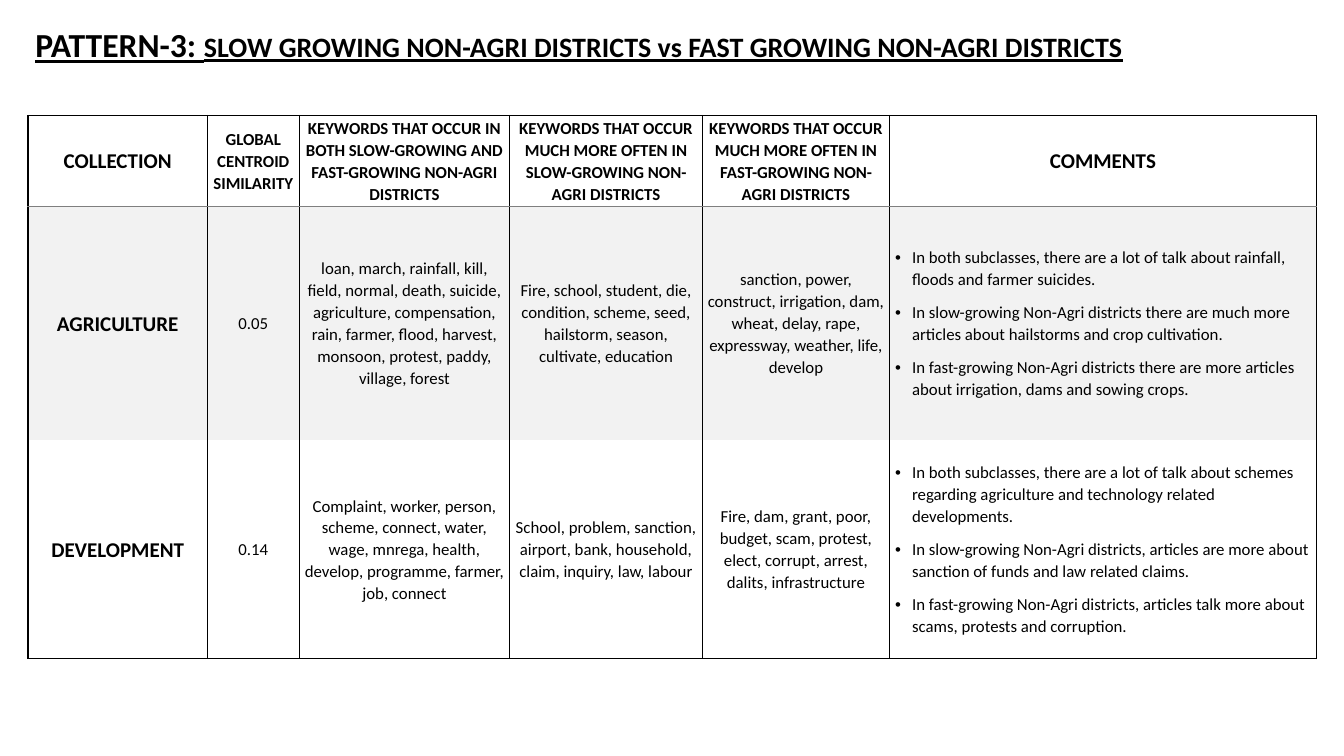
import pptx
import pptx.dml.color
import pptx.enum.text
import pptx.oxml
import pptx.oxml.ns
import pptx.util
import lxml.etree

Pt = pptx.util.Pt
ALIGN = pptx.enum.text.PP_ALIGN
ANCHOR = pptx.enum.text.MSO_ANCHOR

BLACK, GRAY, WHITE, BAND = "000000", "7F7F7F", "FFFFFF", "F2F2F2"
COLUMN_WIDTHS = [128.2, 65.5, 150.5, 137.5, 133.9, 304.6]
ROW_HEIGHTS = [64.8, 167, 156.3]
ROW_FILLS = [WHITE, BAND, WHITE]
# Top and bottom border of each row; None means no line.
ROW_EDGES = [(BLACK, GRAY), (GRAY, None), (None, BLACK)]
SIMILARITY_COLUMN, COMMENTS_COLUMN = 1, 5

ROWS = [
    [
        "COLLECTION",
        "GLOBAL CENTROID SIMILARITY",
        "KEYWORDS THAT OCCUR IN BOTH SLOW-GROWING AND FAST-GROWING NON-AGRI DISTRICTS",
        "KEYWORDS THAT OCCUR MUCH MORE OFTEN IN SLOW-GROWING NON-AGRI DISTRICTS",
        "KEYWORDS THAT OCCUR MUCH MORE OFTEN IN FAST-GROWING NON-AGRI DISTRICTS",
        "COMMENTS",
    ],
    [
        "AGRICULTURE",
        "0.05",
        "loan, march, rainfall, kill, field, normal, death, suicide, agriculture, "
        "compensation, rain, farmer, flood, harvest, monsoon, protest, paddy, village, forest",
        "Fire, school, student, die, condition, scheme, seed, hailstorm, season, "
        "cultivate, education",
        "sanction, power, construct, irrigation, dam, wheat, delay, rape, expressway, "
        "weather, life, develop",
        "In both subclasses, there are a lot of talk about rainfall, floods and farmer suicides.\n"
        "In slow-growing Non-Agri districts there are much more articles about hailstorms "
        "and crop cultivation.\n"
        "In fast-growing Non-Agri districts there are more articles about irrigation, dams "
        "and sowing crops.",
    ],
    [
        "DEVELOPMENT",
        "0.14",
        "Complaint, worker, person, scheme, connect, water, wage, mnrega, health, develop, "
        "programme, farmer, job, connect",
        "School, problem, sanction, airport, bank, household, claim, inquiry, law, labour",
        "Fire, dam, grant, poor, budget, scam, protest, elect, corrupt, arrest, dalits, "
        "infrastructure",
        "In both subclasses, there are a lot of talk about schemes regarding agriculture "
        "and technology related developments.\n"
        "In slow-growing Non-Agri districts, articles are more about sanction of funds "
        "and law related claims.\n"
        "In fast-growing Non-Agri districts, articles talk more about scams, protests "
        "and corruption.",
    ],
]


def color(value):
    return pptx.dml.color.RGBColor.from_string(value)


class SlideBuilder:
    """Holds the text style and the slide being filled."""

    def __init__(self, slide, font="Calibri"):
        self.slide = slide
        self.font = font

    def style(self, run, size, bold=False, underline=None):
        run.font.name = self.font
        run.font.size = Pt(size)
        run.font.bold = bold
        run.font.underline = underline
        run.font.color.rgb = color(BLACK)

    def title(self, left, top, width, height, parts):
        """Fill the title placeholder with (text, size) parts."""
        shape = self.slide.shapes.title
        shape.left, shape.top, shape.width, shape.height = map(Pt, (left, top, width, height))
        frame = shape.text_frame
        frame.auto_size = pptx.enum.text.MSO_AUTO_SIZE.NONE
        frame.vertical_anchor = ANCHOR.MIDDLE
        paragraph = frame.paragraphs[0]
        paragraph.alignment = ALIGN.LEFT
        for text, size in parts:
            run = paragraph.add_run()
            run.text = text
            self.style(run, size, bold=True, underline=True)

    def bullet(self, paragraph):
        properties = paragraph._p.get_or_add_pPr()
        properties.set("marL", str(Pt(13)))
        properties.set("indent", str(-Pt(12.2)))
        namespace = pptx.oxml.ns.nsdecls("a")
        for xml in (
            f'<a:buClr {namespace}><a:srgbClr val="{BLACK}"/></a:buClr>',
            f'<a:buFont {namespace} typeface="Arial"/>',
            f'<a:buChar {namespace} char="•"/>',
        ):
            properties.append(pptx.oxml.parse_xml(xml))

    def borders(self, cell, top, bottom):
        """Draw black sides and the given top and bottom, before the fill is set."""
        qn = pptx.oxml.ns.qn
        properties = cell._tc.get_or_add_tcPr()
        for tag, line in (("lnL", BLACK), ("lnR", BLACK), ("lnT", top), ("lnB", bottom)):
            edge = lxml.etree.SubElement(properties, qn(f"a:{tag}"), w=str(Pt(1)))
            if line:
                solid = lxml.etree.SubElement(edge, qn("a:solidFill"))
                lxml.etree.SubElement(solid, qn("a:srgbClr"), val=line)
            else:
                lxml.etree.SubElement(edge, qn("a:noFill"))

    def cell(self, cell, text, size, bold, bulleted, side_margin):
        cell.vertical_anchor = ANCHOR.MIDDLE
        cell.margin_left = cell.margin_right = Pt(side_margin)
        cell.margin_top = cell.margin_bottom = Pt(0)
        cell.text_frame.text = text
        for index, paragraph in enumerate(cell.text_frame.paragraphs):
            paragraph.alignment = ALIGN.LEFT if bulleted else ALIGN.CENTER
            paragraph.line_spacing = 1.07
            paragraph.space_before = Pt(8 if index else 0)
            if bulleted:
                self.bullet(paragraph)
            for run in paragraph.runs:
                self.style(run, size, bold)

    def table(self, left, top):
        table = self.slide.shapes.add_table(
            len(ROWS), len(COLUMN_WIDTHS), Pt(left), Pt(top),
            Pt(sum(COLUMN_WIDTHS)), Pt(sum(ROW_HEIGHTS)),
        ).table
        table.first_row = table.horz_banding = False
        for column, width in zip(table.columns, COLUMN_WIDTHS):
            column.width = Pt(width)
        for row_index, texts in enumerate(ROWS):
            table.rows[row_index].height = Pt(ROW_HEIGHTS[row_index])
            is_header = row_index == 0
            for column_index, text in enumerate(texts):
                is_comment = column_index == COMMENTS_COLUMN
                is_large = column_index == 0 or (is_header and is_comment)
                cell = table.cell(row_index, column_index)
                self.borders(cell, *ROW_EDGES[row_index])
                cell.fill.solid()
                cell.fill.fore_color.rgb = color(ROW_FILLS[row_index])
                self.cell(
                    cell, text,
                    size=15 if is_large else 12,
                    bold=is_header or column_index == 0,
                    bulleted=is_comment and not is_header,
                    side_margin=0 if column_index == SIMILARITY_COLUMN else 3,
                )


def main():
    presentation = pptx.Presentation()
    presentation.slide_width, presentation.slide_height = Pt(960), Pt(540)
    title_only = presentation.slide_layouts[5]
    builder = SlideBuilder(presentation.slides.add_slide(title_only))
    builder.title(18, 13.7, 856, 36, [
        ("PATTERN-3: ", 24),
        ("SLOW GROWING NON-AGRI DISTRICTS vs FAST GROWING NON-AGRI DISTRICTS", 20),
    ])
    builder.table(20, 82.5)
    presentation.save("out.pptx")


if __name__ == "__main__":
    main()
